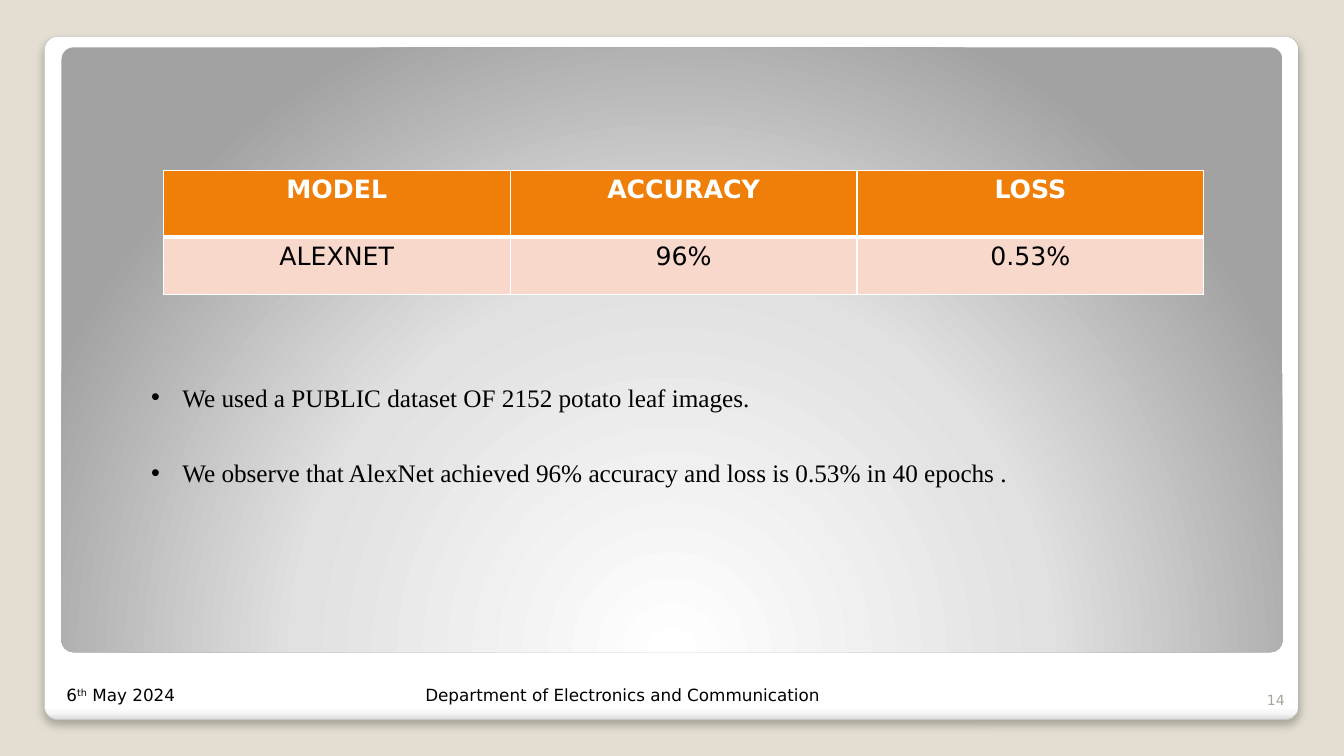
from pptx import Presentation
from pptx.dml.color import RGBColor
from pptx.enum.shapes import MSO_SHAPE
from pptx.enum.text import MSO_ANCHOR, MSO_AUTO_SIZE, PP_ALIGN
from pptx.oxml import parse_xml
from pptx.oxml.ns import nsdecls
from pptx.util import Inches, Pt

ROUNDED = MSO_SHAPE.ROUNDED_RECTANGLE
TOP, BOTTOM = MSO_ANCHOR.TOP, MSO_ANCHOR.BOTTOM
GROW, FIXED = MSO_AUTO_SIZE.SHAPE_TO_FIT_TEXT, MSO_AUTO_SIZE.NONE
LEFT, CENTER = PP_ALIGN.LEFT, PP_ALIGN.CENTER
RIGHT, JUSTIFY = PP_ALIGN.RIGHT, PP_ALIGN.JUSTIFY
SANS, SERIF = "DejaVu Sans", "Times New Roman"
BLACK, WHITE = "000000", "FFFFFF"
LINEAR = '<a:lin ang="5400000" scaled="0"/>'
RADIAL = ('<a:path path="circle"><a:fillToRect l="50000" t="175000" '
          'r="50000" b="-75000"/></a:path>')


def color(value):
    return RGBColor.from_string(value)


def element(tag, content="", **attributes):
    """Build one DrawingML element."""
    listed = " ".join(f'{key}="{value}"' for key, value in attributes.items())
    return parse_xml(f'<a:{tag} {nsdecls("a")} {listed}>{content}</a:{tag}>')


def add_panel(page, place, stops, direction):
    """Add a rounded panel with a gradient and no outline."""
    panel = page.shapes.add_shape(ROUNDED, *map(Inches, place))
    panel.adjustments[0] = 0.02
    panel.shadow.inherit = False
    panel.line.fill.background()
    marks = "".join(f'<a:gs pos="{percent * 1000}"><a:srgbClr val="{value}"/></a:gs>'
                    for percent, value in stops)
    gradient = element("gradFill", f"<a:gsLst>{marks}</a:gsLst>{direction}",
                       rotWithShape=1)
    panel.element.spPr.find(element("prstGeom").tag).addnext(gradient)
    return panel


def add_shadow(panel):
    effects = panel.element.spPr.find(element("effectLst").tag)
    effects.append(element(
        "outerShdw", '<a:srgbClr val="000000"><a:alpha val="25000"/></a:srgbClr>',
        blurRad=Pt(6), dist=Pt(4), dir=5400000, algn="tl", rotWithShape=0))


def write(para, text, size=18, font=SANS, ink=BLACK, bold=False, align=None, raised=0):
    """Add a formatted span to a paragraph."""
    if align is not None:
        para.alignment = align
    span = para.add_run()
    span.text = text
    span.font.size = Pt(size)
    span.font.name = font
    span.font.bold = bold
    span.font.color.rgb = color(ink)
    if raised:
        span.font._element.set("baseline", str(raised * 1000))


def add_text_box(page, place, anchor=TOP, fit=GROW):
    box = page.shapes.add_textbox(*map(Inches, place))
    frame = box.text_frame
    frame.word_wrap = True
    frame.auto_size = fit
    frame.vertical_anchor = anchor
    return frame


def add_bullets(page, place, lines):
    frame = add_text_box(page, place)
    for index, line in enumerate(lines):
        para = frame.add_paragraph() if index else frame.paragraphs[0]
        para.line_spacing = 2.5
        settings = para._p.get_or_add_pPr()
        settings.set("marL", str(Inches(0.31)))
        settings.set("indent", str(Inches(-0.31)))
        settings.append(element("buFont", typeface="Arial"))
        settings.append(element("buChar", char="•"))
        write(para, line, font=SERIF, align=JUSTIFY)


def style_cell(cell, text, fill, ink, bold, bottom):
    """Write a cell with white borders and a plain fill."""
    settings = cell._tc.get_or_add_tcPr()
    top = 4 - bottom if bold else 3
    for tag, width in (("lnL", 1), ("lnR", 1), ("lnT", top if not bold else 1),
                       ("lnB", bottom)):
        settings.append(element(
            tag, f'<a:solidFill><a:srgbClr val="{WHITE}"/></a:solidFill>', w=Pt(width)))
    cell.fill.solid()
    cell.fill.fore_color.rgb = color(fill)
    write(cell.text_frame.paragraphs[0], text, ink=ink, bold=bold, align=CENTER)


def add_results(page, place, heights, rows):
    table = page.shapes.add_table(len(rows), len(rows[0]), *map(Inches, place)).table
    for row, height in zip(table.rows, heights):
        row.height = Inches(height)
    looks = [dict(fill="F07F09", ink=WHITE, bold=True, bottom=3),
             dict(fill="F9D8CC", ink=BLACK, bold=False, bottom=1)]
    for row, texts, look in zip(table.rows, rows, looks):
        for cell, text in zip(row.cells, texts):
            style_cell(cell, text, **look)


def add_footer(page):
    para = add_text_box(page, (0.56, 6.74, 10.97, 0.3)).paragraphs[0]
    para._p.get_or_add_pPr().append(
        element("tabLst", f'<a:tab pos="{Inches(3.56)}" algn="l"/>'))
    write(para, "6", size=12, align=LEFT)
    write(para, "th", size=12, raised=30)
    write(para, " May 2024\tDepartment of Electronics and Communication", size=12)
    number = add_text_box(page, (12.17, 6.68, 0.67, 0.4), BOTTOM, FIXED)
    write(number.paragraphs[0], "14", size=10, ink="A8A49B", align=RIGHT)


def main():
    deck = Presentation()
    deck.slide_width, deck.slide_height = Inches(13.33), Inches(7.5)
    page = deck.slides.add_slide(deck.slide_layouts[6])
    page.background.fill.solid()
    page.background.fill.fore_color.rgb = color("E3DED1")

    # Framed backdrop
    frame = add_panel(page, (0.44, 0.36, 12.44, 6.78),
                      [(0, WHITE), (98, WHITE), (99, "F7F7F7"), (100, "DADADA")], LINEAR)
    frame.line.color.rgb = color("A4A4A4")
    frame.line.width = Pt(0.16)
    add_shadow(frame)
    add_panel(page, (0.61, 0.47, 12.11, 6),
              [(0, WHITE), (55, "E1E1E1"), (100, "A2A2A2")], RADIAL)

    # Results and findings
    add_results(page, (1.62, 1.69, 10.32, 1.23), (0.66, 0.57),
                [("MODEL", "ACCURACY", "LOSS"), ("ALEXNET", "96%", "0.53%")])
    add_bullets(page, (1.4, 3.29, 10.77, 1.49), [
        "We used a PUBLIC dataset OF 2152 potato leaf images.",
        "We observe that AlexNet achieved 96% accuracy and loss is 0.53% in 40 epochs .",
    ])

    # Date, department and page number
    add_footer(page)
    deck.save("out.pptx")


if __name__ == "__main__":
    main()
